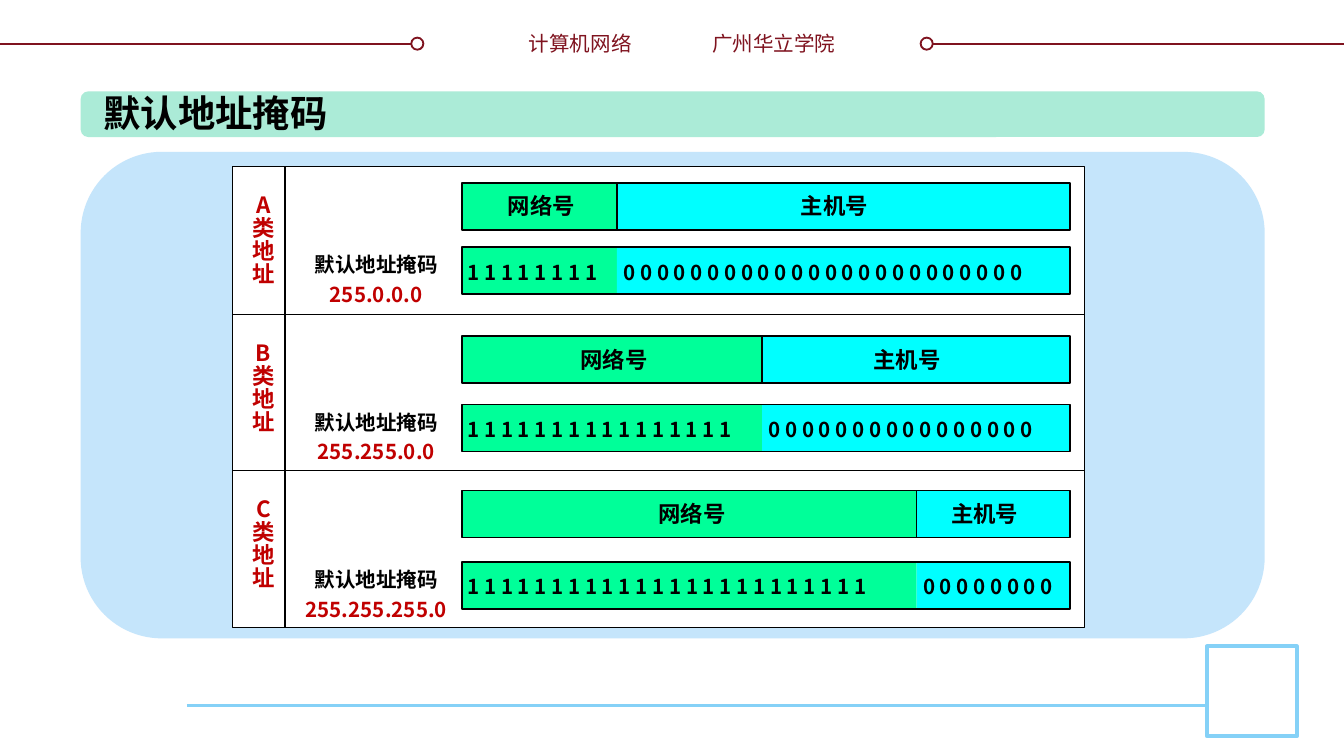
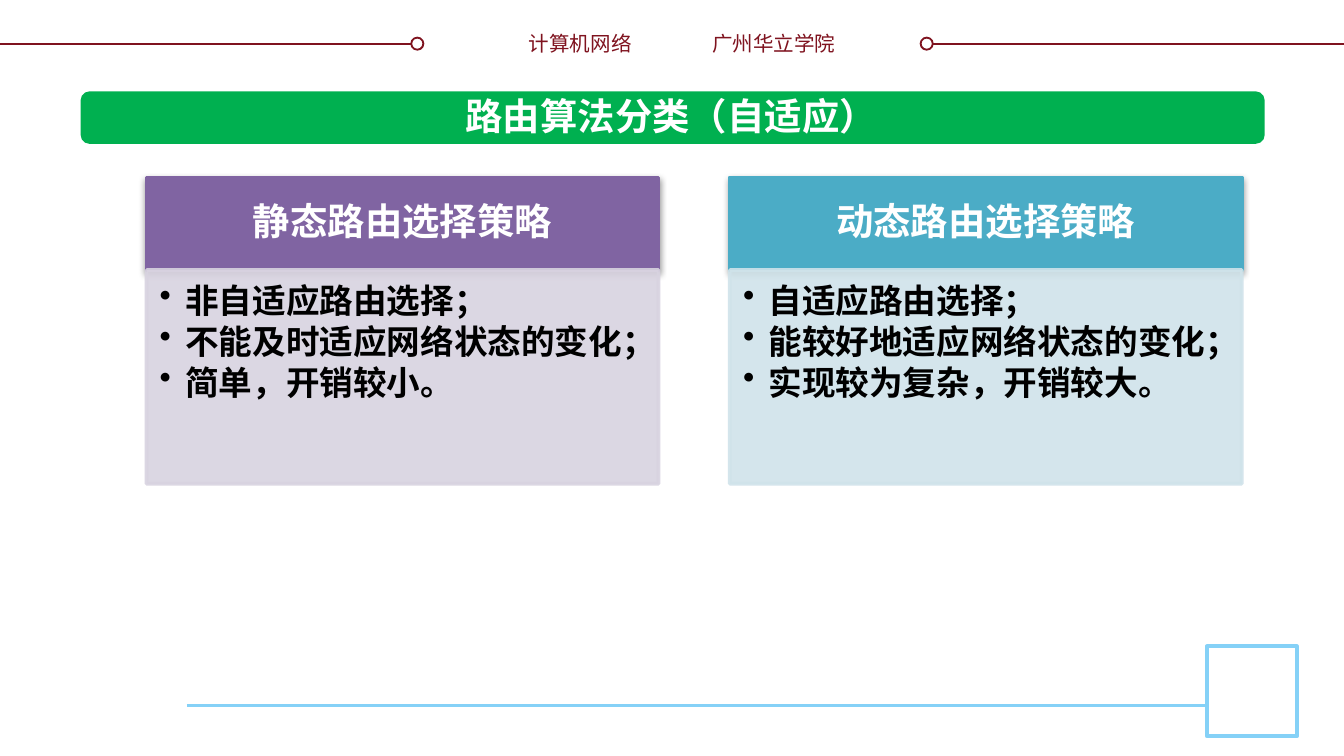
from lxml.etree import SubElement
from pptx import Presentation
from pptx.dml.color import RGBColor
from pptx.enum.shapes import MSO_CONNECTOR, MSO_SHAPE
from pptx.enum.text import MSO_ANCHOR, MSO_AUTO_SIZE, PP_ALIGN
from pptx.oxml.ns import qn
from pptx.util import Pt

PX = 9144  # EMU in one px, 100 px to the inch
PAGE_WIDTH = 1000
FONT = "Noto Sans CJK SC"
COLORS = {
    "white": "FFFFFF", "black": "000000", "maroon": "7F131F", "sky": "85D1F7",
    "pale_blue": "C5E5FB", "mint": "ABEBD7", "green": "00B050",
    "network": "00FF99", "host": "00FFFF", "red": "C00000",
    "purple": "8064A2", "lilac": "D8D3E0", "teal": "4BACC6", "ice": "D0E3EA",
}
ALIGN = {"left": PP_ALIGN.LEFT, "center": PP_ALIGN.CENTER, "right": PP_ALIGN.RIGHT}


# Drawing helpers
def rgb(name):
    return RGBColor.from_string(COLORS[name])


def emu(*lengths):
    return [length * PX for length in lengths]


def add_box(page, box, fill=None, line=None, width=1, kind=MSO_SHAPE.RECTANGLE):
    shape = page.shapes.add_shape(kind, *emu(*box))
    shape.shadow.inherit = False
    if fill:
        shape.fill.solid()
        shape.fill.fore_color.rgb = rgb(fill)
    else:
        shape.fill.background()
    if line:
        shape.line.color.rgb = rgb(line)
        shape.line.width = Pt(width)
    else:
        shape.line.fill.background()
    return shape


def add_line(page, start, end, color="black", width=0.75):
    line = page.shapes.add_connector(MSO_CONNECTOR.STRAIGHT, *emu(*start, *end))
    line.line.color.rgb = rgb(color)
    line.line.width = Pt(width)
    SubElement(line._element.spPr, qn("a:effectLst"))


def set_opacity(shape, percent):
    for color in shape._element.spPr.iter(qn("a:srgbClr")):
        SubElement(color, qn("a:alpha"), val=str(percent * 1000))


def add_shadow(shape):
    effects = shape._element.spPr.find(qn("a:effectLst"))
    shadow = SubElement(effects, qn("a:outerShdw"), blurRad="40000", dist="20000",
                        dir="5400000", rotWithShape="0")
    color = SubElement(shadow, qn("a:srgbClr"), val=COLORS["black"])
    SubElement(color, qn("a:alpha"), val="38000")


def write(shape, text, size=11, colors=("black",), bold=True, align="left",
          spacing=None, after=0, bullet=False, wrap=True,
          margins=(10, 5, 10, 5), anchor=MSO_ANCHOR.TOP):
    """Fill a shape with one paragraph a line; the last color repeats."""
    frame = shape.text_frame
    frame.word_wrap = wrap
    frame.vertical_anchor = anchor
    (frame.margin_left, frame.margin_top,
     frame.margin_right, frame.margin_bottom) = emu(*margins)
    for index, line in enumerate(text.split("\n")):
        para = frame.paragraphs[0] if index == 0 else frame.add_paragraph()
        if bullet:
            props = para._p.get_or_add_pPr()
            props.set("marL", str(19 * PX))
            props.set("indent", str(-19 * PX))
            SubElement(props, qn("a:buChar"), char="•")
        para.alignment = ALIGN[align]
        para.line_spacing = Pt(spacing or round(size * 1.22, 1))
        para.space_after = Pt(after)
        span = para.add_run()
        span.text = line
        span.font.size = Pt(size)
        span.font.bold = bold
        span.font.color.rgb = rgb(colors[min(index, len(colors) - 1)])
        span.font.name = FONT
        SubElement(span.font._element, qn("a:ea"), typeface=FONT)


def add_text(page, box, text, wrap=False, **form):
    shape = page.shapes.add_textbox(*emu(*box))
    write(shape, text, wrap=wrap, **form)
    shape.text_frame.auto_size = MSO_AUTO_SIZE.SHAPE_TO_FIT_TEXT


# Parts that every slide shares
def add_page(deck):
    page = deck.slides.add_slide(deck.slide_layouts[6])
    for start, end, dot in ((0, 315, 306), (685, PAGE_WIDTH, 685)):
        add_line(page, (start, 33), (end, 33), "maroon", 1)
        add_box(page, (dot, 28, 9, 9), "white", "maroon", kind=MSO_SHAPE.OVAL)
    header = dict(colors=["maroon"], bold=False)
    add_text(page, (383, 18, 97, 29), "计算机网络", align="right", **header)
    add_text(page, (520, 18, 116, 29), "广州华立学院", wrap=True, **header)
    add_line(page, (139, 525), (898, 525), "sky", 1.5)
    add_box(page, (898, 481, 67, 67), "white", "sky", 2)
    return page


def add_title(page, text, band, height, box, **form):
    add_box(page, (60, 68, 881, height), band, kind=MSO_SHAPE.ROUNDED_RECTANGLE)
    add_text(page, box, text, size=20, **form)


# Address mask slide
def add_bar(page, box, split):
    """A bar of network and host parts that meet at split."""
    left, top, width, height = box
    right = left + width
    add_box(page, (left, top, split - left, height), "network")
    add_box(page, (split, top, right - split, height), "host")
    add_box(page, box, line="black")


def add_address_class(page, box, letter, mask, network_bytes, split, field_top, mask_top):
    left, top, width, height = box
    bar_left, bar_width, bar_height = left + 171, 452, 35
    bar_right = bar_left + bar_width

    # Class name and default mask
    add_text(page, (left + 4, top + 16, 38, 79), "\n".join(letter + "类地址"), size=12,
             colors=["red"], align="center", spacing=12.4)
    add_text(page, (left + 43, top + mask_top - 5, 128, 55), "默认地址掩码\n" + mask,
             colors=["black", "red"], align="center", spacing=16)

    # Field names
    field_y = top + field_top
    add_bar(page, (bar_left, field_y, bar_width, bar_height), split)
    add_line(page, (split, field_y), (split, field_y + bar_height), width=1)
    for name, start, end in (("网络号", bar_left, split + 4), ("主机号", split, bar_right - 12)):
        add_text(page, ((start + end) // 2 - 35, field_y + 2, 70, 30), name, size=12)

    # Mask bits
    mask_y = top + mask_top
    add_bar(page, (bar_left, mask_y, bar_width, bar_height), split)
    for bit, count, start in (("1", network_bytes * 8, bar_left - 6),
                              ("0", 32 - network_bytes * 8, split - 5)):
        add_text(page, (start, mask_y + 4, 14 * count + 16, 28), " ".join(bit * count))


def build_mask_slide(deck):
    page = add_page(deck)
    add_box(page, (60, 113, 881, 362), "pale_blue", kind=MSO_SHAPE.ROUNDED_RECTANGLE)
    add_title(page, "默认地址掩码", "mint", 34, (67, 62, 188, 44))

    left, top, width, height = 173, 124, 634, 343
    add_box(page, (left, top, width, height), "white", "black", 0.75)
    classes = [  # row height, letter, mask, network bytes, split, bar offsets
        (110, "A", "255.0.0.0", 1, 459, 12, 60),
        (116, "B", "255.255.0.0", 2, 567, 16, 67),
        (117, "C", "255.255.255.0", 3, 682, 15, 68),
    ]
    row_top = top
    for row_height, *parts in classes:
        if row_top > top:
            add_line(page, (left, row_top), (left + width, row_top))
        add_address_class(page, (left, row_top, width, row_height), *parts)
        row_top += row_height
    add_line(page, (left + 39, top), (left + 39, top + height))


# Routing slide
def add_strategy(page, box, heading, points, dark, light):
    left, top, width, height = box
    head_height = 69
    head = add_box(page, (left, top, width, head_height), dark, dark, 2)
    add_shadow(head)
    write(head, heading, size=20, colors=["white"], align="center",
          margins=(16, 9, 16, 14), anchor=MSO_ANCHOR.MIDDLE)
    body = add_box(page, (left, top + head_height, width, height - head_height),
                   light, light, 2)
    set_opacity(body, 90)
    write(body, points, size=18, spacing=19.4, after=2.7, bullet=True,
          margins=(10, 10, 0, 16))


def build_routing_slide(deck):
    page = add_page(deck)
    add_title(page, "路由算法分类（自适应）", "green", 39, (212, 64, 575, 44),
              colors=["white"], align="center", wrap=True)
    strategies = [
        ("静态路由选择策略",
         "非自适应路由选择；\n不能及时适应网络状态的变化；\n简单，开销较小。",
         "purple", "lilac"),
        ("动态路由选择策略",
         "自适应路由选择；\n能较好地适应网络状态的变化；\n实现较为复杂，开销较大。",
         "teal", "ice"),
    ]
    for index, strategy in enumerate(strategies):
        add_strategy(page, (109 + 434 * index, 132, 381, 228), *strategy)


def main():
    deck = Presentation()
    deck.slide_width = PAGE_WIDTH * PX
    deck.slide_height = deck.slide_width * 9 // 16
    build_mask_slide(deck)
    build_routing_slide(deck)
    deck.save("out.pptx")


if __name__ == "__main__":
    main()
